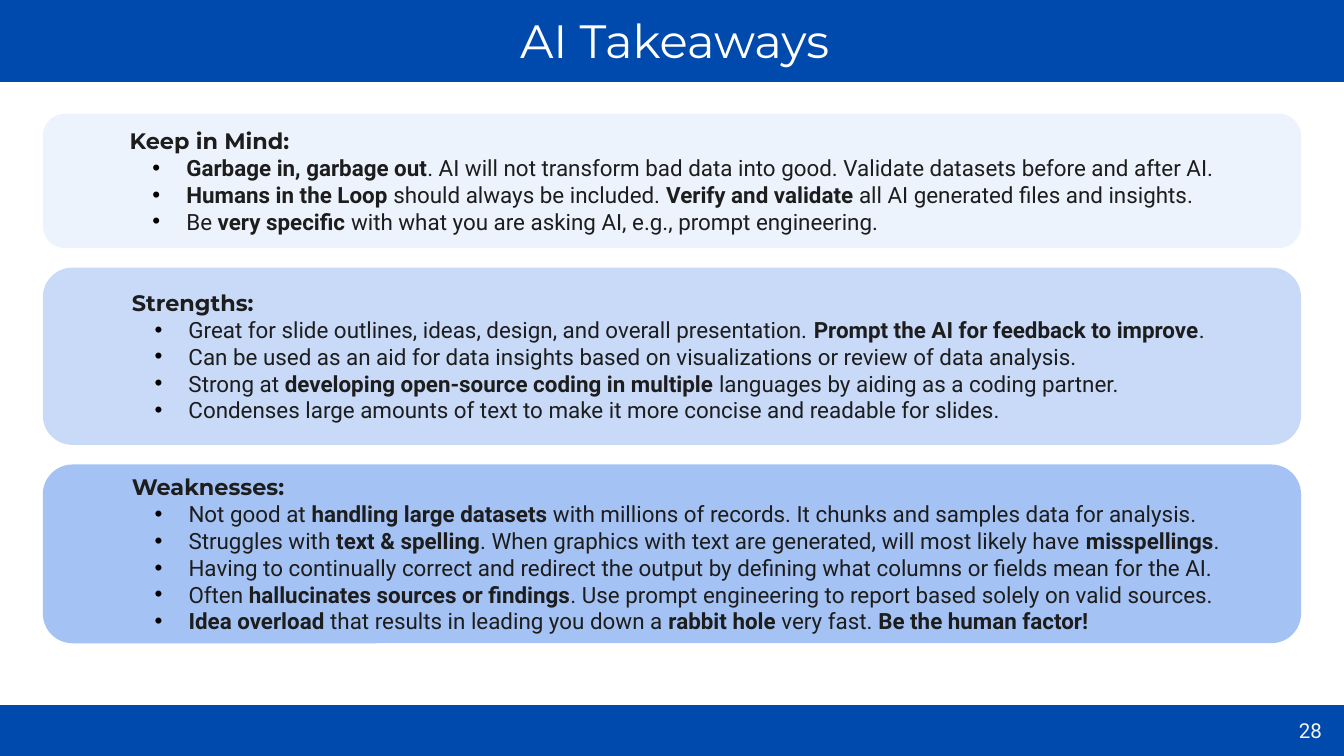
import pptx
import pptx.util
import pptx.dml.color
import pptx.enum.shapes
import pptx.enum.text
import pptx.oxml.ns
import lxml.etree

Cm = pptx.util.Cm
Pt = pptx.util.Pt
KIND = pptx.enum.shapes.MSO_SHAPE
ALIGN = pptx.enum.text.PP_ALIGN
ANCHOR = pptx.enum.text.MSO_ANCHOR

TITLE = "AI Takeaways"
NUMBER = "28"
HEAD, BODY = "Montserrat", "Roboto"
COLORS = {
    "bar": "004AAD", "title": "FFFFFF", "number": "F6F5EC",
    "text": "1D1D1D", "bullet": "000000",
    "keep": "EDF3FD", "strong": "C8DAF8", "weak": "A4C2F4",
}
CARDS = [
    ("Keep in Mind:", "keep", 2.54, [
        "**Garbage in, garbage out**. AI will not transform bad data into good. Validate datasets before and after AI.",
        "**Humans in the Loop** should always be included. **Verify and validate** all AI generated files and insights.",
        "Be **very specific **with what you are asking AI, e.g., prompt engineering.",
    ]),
    ("Strengths:", "strong", 3.35, [
        "Great for slide outlines, ideas, design, and overall presentation. **Prompt the AI for feedback to improve**.",
        "Can be used as an aid for data insights based on visualizations or review of data analysis.",
        "Strong at **developing open-source coding in multiple** languages by aiding as a coding partner.",
        "Condenses large amounts of text to make it more concise and readable for slides.",
    ]),
    ("Weaknesses:", "weak", 3.38, [
        "Not good at **handling large datasets** with millions of records. It chunks and samples data for analysis.",
        "Struggles with **text & spelling**. When graphics with text are generated, will most likely have **misspellings**.",
        "Having to continually correct and redirect the output by defining what columns or fields mean for the AI.",
        "Often **hallucinates sources or findings**. Use prompt engineering to report based solely on valid sources.",
        "**Idea overload** that results in leading you down a **rabbit hole** very fast. **Be the human factor!**",
    ]),
]
WIDE, HIGH = 25.4, 14.29
LEFT, TOP, GAP = 0.81, 2.15, 0.37


def paint(color):
    return pptx.dml.color.RGBColor.from_string(COLORS[color])


def style(para, face, size, color, align):
    para.alignment = align
    para.font.name = face
    para.font.size = Pt(size)
    para.font.color.rgb = paint(color)


def block(slide, kind, left, top, width, height, color):
    shape = slide.shapes.add_shape(kind, Cm(left), Cm(top), Cm(width), Cm(height))
    shape.shadow.inherit = False
    shape.fill.solid()
    shape.fill.fore_color.rgb = paint(color)
    shape.line.fill.background()
    return shape


def indent(para, left, hang=0):
    props = para._p.get_or_add_pPr()
    props.set("marL", str(Cm(left)))
    props.set("indent", str(Cm(-hang)))
    return props


def bullet(para):
    props = indent(para, 2.34, 0.64)
    qn = pptx.oxml.ns.qn
    tint = lxml.etree.SubElement(props, qn("a:buClr"))
    lxml.etree.SubElement(tint, qn("a:srgbClr"), val=COLORS["bullet"])
    lxml.etree.SubElement(props, qn("a:buFont"), typeface="Arial")
    lxml.etree.SubElement(props, qn("a:buChar"), char="•")


def card(slide, top, head, color, height, items):
    shape = block(slide, KIND.ROUNDED_RECTANGLE, LEFT, top, WIDE - 2 * LEFT, height, color)
    frame = shape.text_frame
    frame.word_wrap = True
    frame.vertical_anchor = ANCHOR.MIDDLE
    para = frame.paragraphs[0]
    para.text = head
    indent(para, 1.27)
    style(para, HEAD, 12, "text", ALIGN.LEFT)
    para.font.bold = True
    for item in items:
        para = frame.add_paragraph()
        bullet(para)
        style(para, BODY, 12, "text", ALIGN.LEFT)
        for spot, part in enumerate(item.split("**")):
            if part:
                run = para.add_run()
                run.text = part
                run.font.bold = spot % 2 == 1


def main():
    deck = pptx.Presentation()
    deck.slide_width, deck.slide_height = Cm(WIDE), Cm(HIGH)
    slide = deck.slides.add_slide(deck.slide_layouts[5])

    block(slide, KIND.RECTANGLE, 0, HIGH - 0.96, WIDE, 0.96, "bar")
    page = slide.shapes.add_textbox(Cm(24.13), Cm(13.36), Cm(1.27), Cm(0.93))
    page.text_frame.word_wrap = True
    page.text_frame.vertical_anchor = ANCHOR.MIDDLE
    para = page.text_frame.paragraphs[0]
    para.text = NUMBER
    para.line_spacing = 0.9
    style(para, BODY, 11, "number", ALIGN.CENTER)

    block(slide, KIND.RECTANGLE, 0, 0, WIDE, 1.55, "bar")
    title = slide.shapes.title
    slide.shapes._spTree.append(title._element)
    title.left, title.top, title.width, title.height = Cm(0.05), Cm(0.1), Cm(WIDE), Cm(1.57)
    title.text_frame.text = TITLE
    title.text_frame.vertical_anchor = ANCHOR.TOP
    style(title.text_frame.paragraphs[0], HEAD, 25, "title", ALIGN.CENTER)

    top = TOP
    for head, color, height, items in CARDS:
        card(slide, top, head, color, height, items)
        top += height + GAP
    deck.save("out.pptx")


if __name__ == "__main__":
    main()
